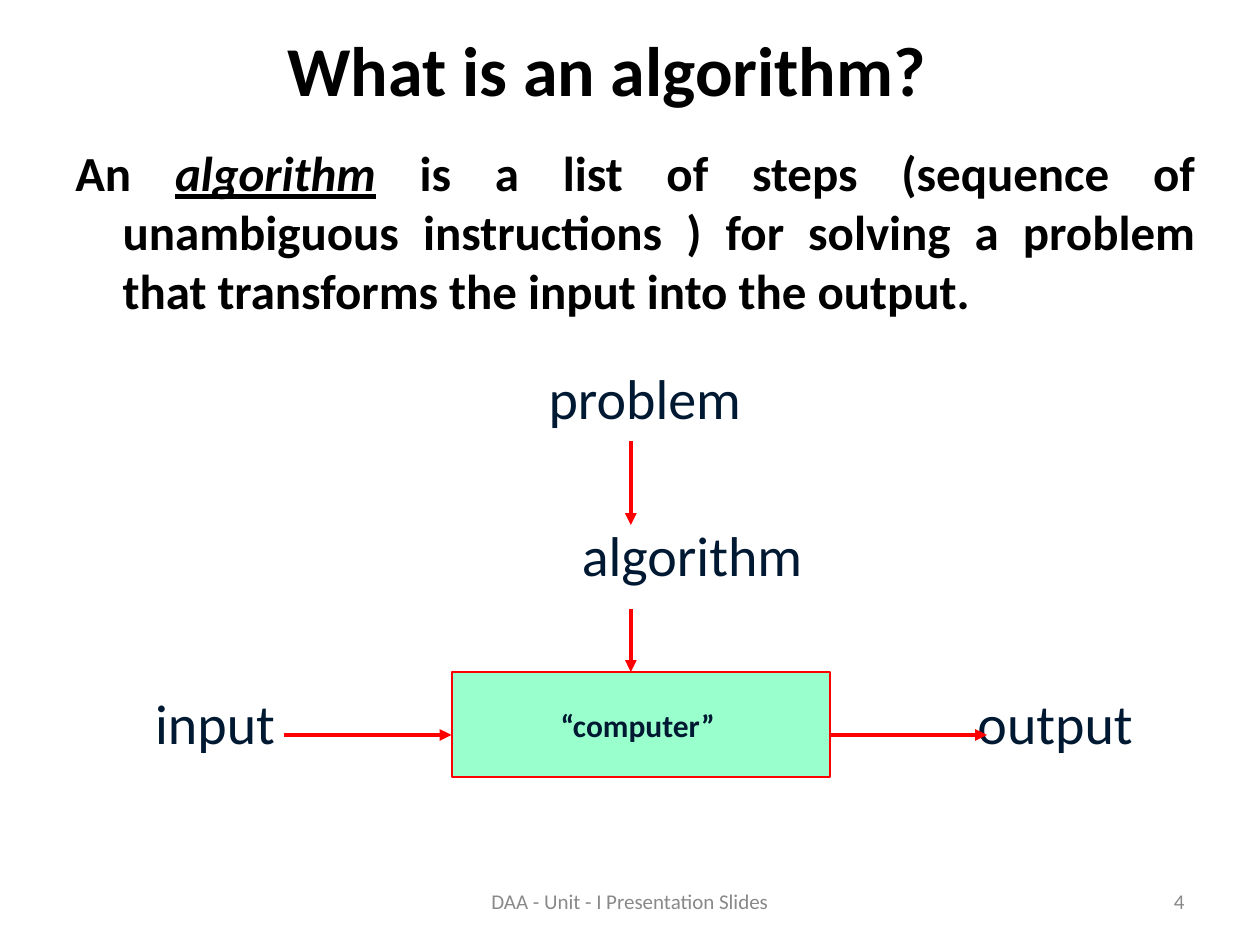
"""Build a slide that defines an algorithm and shows how it turns input into output."""
from dataclasses import dataclass

from lxml.etree import SubElement
from pptx import Presentation
from pptx.dml.color import RGBColor
from pptx.enum.shapes import MSO_CONNECTOR, MSO_SHAPE
from pptx.enum.text import MSO_ANCHOR, PP_ALIGN
from pptx.oxml.ns import qn
from pptx.slide import Slide
from pptx.text.text import Font
from pptx.util import Pt


@dataclass(frozen=True)
class Theme:
    face: str = "Calibri"
    black: str = "000000"
    navy: str = "001932"
    gray: str = "898989"
    red: str = "FF0000"
    mint: str = "99FFCC"
    title: int = 40
    body: int = 28
    label: int = 32
    box: int = 18
    foot: int = 12


@dataclass(frozen=True)
class Label:
    text: str
    left: float
    top: float
    width: float
    height: float
    size: int
    color: str
    bold: bool = False
    align: PP_ALIGN = PP_ALIGN.CENTER
    anchor: MSO_ANCHOR = MSO_ANCHOR.TOP


@dataclass(frozen=True)
class Arrow:
    x: float
    y: float
    end_x: float
    end_y: float


THEME = Theme()
MIDDLE = MSO_ANCHOR.MIDDLE
STEM = 360.5
FLOW = 420

LABELS = [
    Label("What is an algorithm?", 48, 12, 597.5, 54, THEME.title, THEME.black, True, anchor=MIDDLE),
    Label("problem", 300, 204, 137, 46, THEME.label, THEME.navy),
    Label("algorithm", 299.5, 294, 192, 46, THEME.label, THEME.navy),
    Label("input", 59, 390, 128, 46, THEME.label, THEME.navy),
    Label("output", 539, 390, 128, 46, THEME.label, THEME.navy),
    Label("4", 516, 500.5, 168, 28.5, THEME.foot, THEME.gray, align=PP_ALIGN.RIGHT, anchor=MIDDLE),
    Label("DAA - Unit - I Presentation Slides", 246, 500.5, 228, 28.5, THEME.foot, THEME.gray, anchor=MIDDLE),
]
COMPUTER = Label("“computer” ", 258.5, 384, 216, 60, THEME.box, THEME.navy, True, anchor=MIDDLE)
ARROWS = [
    Arrow(STEM, 252, STEM, 300),
    Arrow(STEM, 348, STEM, 384),
    Arrow(162, FLOW, 258, FLOW),
    Arrow(474, FLOW, 564, FLOW),
]


def style(font: Font, size: int, color: str, bold: bool) -> None:
    font.name, font.size, font.bold = THEME.face, Pt(size), bold
    font.color.rgb = RGBColor.from_string(color)


def fill_text(shape, label: Label) -> None:
    frame = shape.text_frame
    frame.text = label.text
    frame.word_wrap = True
    frame.vertical_anchor = label.anchor
    line = frame.paragraphs[0]
    line.alignment = label.align
    style(line.runs[0].font, label.size, label.color, label.bold)


def add_label(slide: Slide, label: Label) -> None:
    box = slide.shapes.add_textbox(Pt(label.left), Pt(label.top), Pt(label.width), Pt(label.height))
    fill_text(box, label)


def add_body(slide: Slide) -> None:
    frame = slide.shapes.add_textbox(Pt(36), Pt(78), Pt(654), Pt(116)).text_frame
    frame.word_wrap = True
    line = frame.paragraphs[0]
    line.alignment = PP_ALIGN.JUSTIFY
    line.space_before = Pt(7)
    props = line._p.get_or_add_pPr()
    props.set("marL", str(Pt(27)))
    props.set("indent", str(Pt(-27)))
    rest = " is a list of steps (sequence of unambiguous instructions ) for solving a problem that transforms the input into the output."
    for text, term in (("An ", False), ("algorithm", True), (rest, False)):
        run = line.add_run()
        run.text = text
        style(run.font, THEME.body, THEME.black, True)
        run.font.italic = run.font.underline = term


def add_box(slide: Slide, label: Label) -> None:
    box = slide.shapes.add_shape(
        MSO_SHAPE.RECTANGLE, Pt(label.left), Pt(label.top), Pt(label.width), Pt(label.height)
    )
    box.shadow.inherit = False
    box.fill.solid()
    box.fill.fore_color.rgb = RGBColor.from_string(THEME.mint)
    box.line.color.rgb = RGBColor.from_string(THEME.red)
    box.line.width = Pt(1)
    fill_text(box, label)
    box.text_frame.word_wrap = False


def add_arrow(slide: Slide, arrow: Arrow) -> None:
    link = slide.shapes.add_connector(
        MSO_CONNECTOR.STRAIGHT, Pt(arrow.x), Pt(arrow.y), Pt(arrow.end_x), Pt(arrow.end_y)
    )
    link.line.color.rgb = RGBColor.from_string(THEME.red)
    link.line.width = Pt(2.25)
    SubElement(link.line._get_or_add_ln(), qn("a:tailEnd"), type="triangle")
    SubElement(link._element.spPr, qn("a:effectLst"))


def main() -> None:
    deck = Presentation()
    deck.slide_width, deck.slide_height = Pt(720), Pt(540)
    slide = deck.slides.add_slide(deck.slide_layouts[6])
    add_body(slide)
    add_box(slide, COMPUTER)
    for label in LABELS:
        add_label(slide, label)
    for arrow in ARROWS:
        add_arrow(slide, arrow)
    deck.save("out.pptx")


if __name__ == "__main__":
    main()
